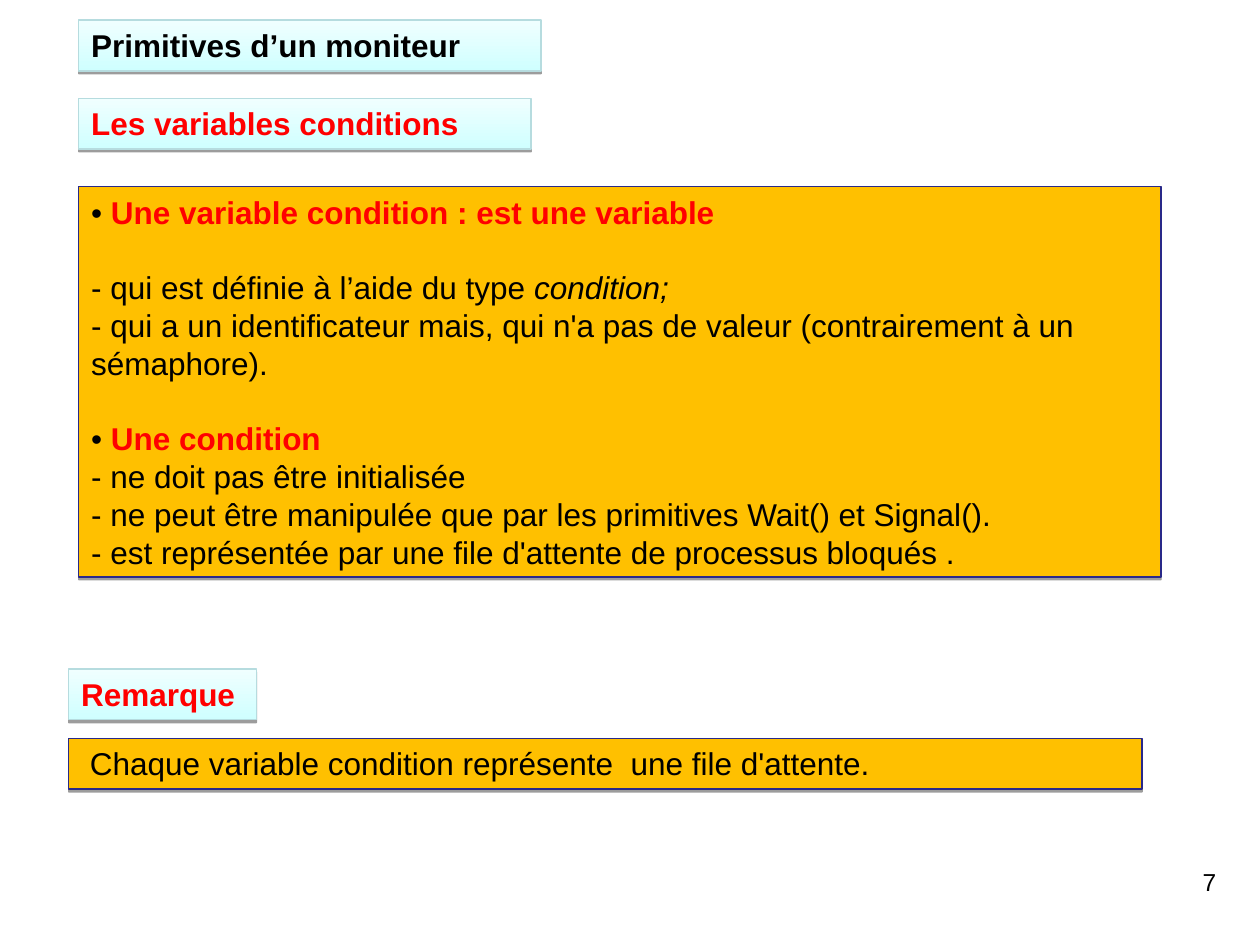
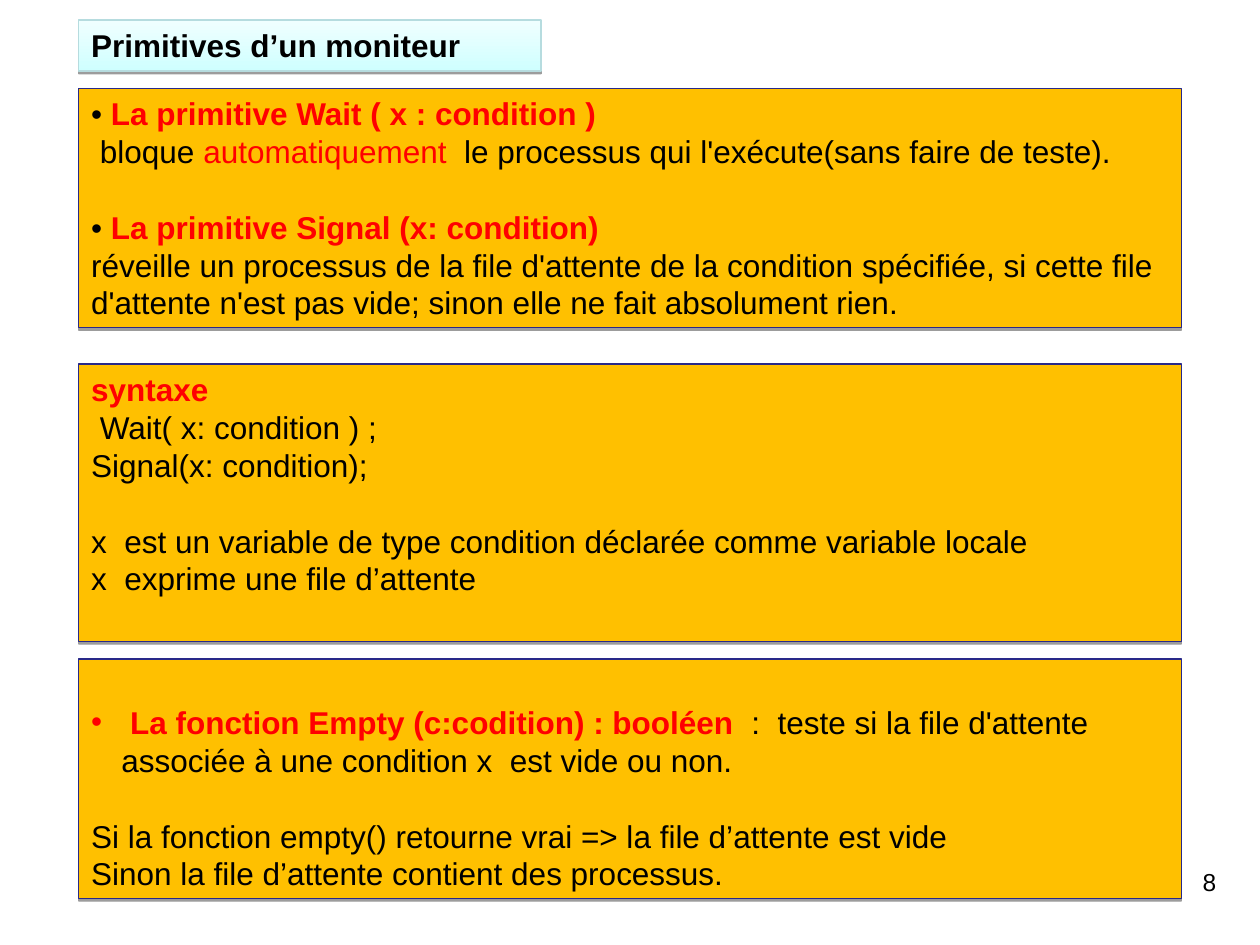
import pptx
import pptx.util
import pptx.dml.color
import pptx.enum.shapes
import pptx.enum.text
import pptx.oxml
import pptx.oxml.ns
from lxml import etree

COLORS = {
    "black": "000000",
    "red": "FF0000",
    "amber": "FFC000",
    "navy": "292989",
    "ice": "F0FFFF",
    "cyan": "CFFFFF",
    "teal": "B6DCDF",
}
STYLES = {
    "plain": ("black", False, False),
    "strong": ("black", True, False),
    "key": ("red", True, False),
    "red": ("red", False, False),
    "italic": ("black", False, True),
}
FONT = "Arial"
COLUMNS, ROWS = 100, 75
LEFT = 6.25
REMARK_LEFT = 5.45
WIDE = 87.5
LABEL_HEIGHT = 4.04
NUMBER_AREA = (71.7, 68.3, 25.8, 5.2)
LINE = 21.6
HANGING = pptx.util.Inches(0.24)
ANCHOR = pptx.enum.text.MSO_ANCHOR


def rgb(name):
    return pptx.dml.color.RGBColor.from_string(COLORS[name])


def place(deck, left, top, width, height):
    column = deck.slide_width / COLUMNS
    row = deck.slide_height / ROWS
    return (round(left * column), round(top * row),
            round(width * column), round(height * row))


def add_span(para, text, style="plain", size=18):
    color, bold, italic = STYLES[style]
    span = para.add_run()
    span.text = text
    span.font.name = FONT
    span.font.size = pptx.util.Pt(size)
    span.font.bold = bold
    span.font.italic = italic
    span.font.color.rgb = rgb(color)


def add_bullet(para):
    properties = para._p.get_or_add_pPr()
    properties.set("marL", str(HANGING))
    properties.set("indent", str(-HANGING))
    color = etree.SubElement(properties, pptx.oxml.ns.qn("a:buClr"))
    etree.SubElement(color, pptx.oxml.ns.qn("a:srgbClr"), val=COLORS["red"])
    etree.SubElement(properties, pptx.oxml.ns.qn("a:buFont"), typeface=FONT)
    etree.SubElement(properties, pptx.oxml.ns.qn("a:buChar"), char="•")


def line(*spans, gap=0, bullet=False):
    return spans, gap, bullet


def heading(text, gap=0):
    return line(("• ",), (text, "key"), gap=gap)


def write_lines(frame, lines):
    for index, (spans, gap, bullet) in enumerate(lines):
        para = frame.paragraphs[0] if index == 0 else frame.add_paragraph()
        para.alignment = pptx.enum.text.PP_ALIGN.LEFT
        para.line_spacing = pptx.util.Pt(LINE)
        para.space_before = pptx.util.Pt(gap * LINE)
        if bullet:
            add_bullet(para)
        for span in spans:
            add_span(para, *span)


def add_shadow(box):
    box.shadow.inherit = False
    effects = box._element.spPr.find(pptx.oxml.ns.qn("a:effectLst"))
    shadow = etree.SubElement(effects, pptx.oxml.ns.qn("a:outerShdw"),
                              blurRad="0", dist=str(pptx.util.Pt(1.6)),
                              dir="5400000", rotWithShape="0")
    color = etree.SubElement(shadow, pptx.oxml.ns.qn("a:srgbClr"), val=COLORS["black"])
    etree.SubElement(color, pptx.oxml.ns.qn("a:alpha"), val="38000")


def add_box(deck, page, area, border, lines, anchor=ANCHOR.TOP):
    box = page.shapes.add_shape(pptx.enum.shapes.MSO_SHAPE.RECTANGLE,
                                *place(deck, *area))
    box.line.color.rgb = rgb(border)
    box.line.width = pptx.util.Pt(0.75)
    add_shadow(box)
    box.text_frame.word_wrap = True
    box.text_frame.vertical_anchor = anchor
    write_lines(box.text_frame, lines)
    return box


def add_panel(deck, page, area, lines, anchor=ANCHOR.TOP):
    box = add_box(deck, page, area, "navy", lines, anchor)
    box.fill.solid()
    box.fill.fore_color.rgb = rgb("amber")


def add_label(deck, page, left, top, width, text, style="key"):
    area = (left, top, width, LABEL_HEIGHT)
    box = add_box(deck, page, area, "teal", [line((text, style))])
    box.fill.gradient()
    box.fill.gradient_angle = 270
    for stop, color, position in zip(box.fill.gradient_stops, ("ice", "cyan"), (0, 1)):
        stop.color.rgb = rgb(color)
        stop.position = position


def add_page(deck, number):
    page = deck.slides.add_slide(deck.slide_layouts[6])
    box = page.shapes.add_textbox(*place(deck, *NUMBER_AREA))
    box.text_frame.word_wrap = True
    para = box.text_frame.paragraphs[0]
    para.alignment = pptx.enum.text.PP_ALIGN.RIGHT
    add_span(para, str(number), size=14)
    add_label(deck, page, LEFT, 1.6, 36.7, "Primitives d’un moniteur", "strong")
    return page


def build_condition_variables(deck):
    page = add_page(deck, 7)
    add_label(deck, page, LEFT, 7.8, 35.9, "Les variables conditions")
    add_panel(deck, page, (LEFT, 14.8, 85.9, 31), [
        heading("Une variable condition : est une variable"),
        line(("- qui est définie à l’aide du type ",), ("condition;", "italic"), gap=1),
        line(("- qui a un identificateur mais, qui n'a pas de valeur "
              "(contrairement à un sémaphore).",)),
        heading("Une condition", gap=1),
        line(("- ne doit pas être initialisée",)),
        line(("- ne peut être manipulée que par les primitives Wait() et Signal().",)),
        line(("- est représentée par une file d'attente de processus bloqués .",)),
    ])
    add_panel(deck, page, (REMARK_LEFT, 58.6, 85.2, LABEL_HEIGHT), [
        line((" Chaque variable condition représente  une file d'attente.",)),
    ])
    add_label(deck, page, REMARK_LEFT, 53.1, 14.9, "Remarque")


def build_primitives(deck):
    page = add_page(deck, 8)
    add_panel(deck, page, (LEFT, 7, WIDE, 19), [
        heading("La primitive Wait ( x : condition )"),
        line((" bloque ",), ("automatiquement ", "red"),
             (" le processus qui l'exécute(sans faire de teste).",)),
        heading("La primitive Signal (x: condition)", gap=1),
        line(("réveille un processus de la file d'attente de la condition spécifiée, "
              "si cette file d'attente n'est pas vide; sinon elle ne fait "
              "absolument rien.",)),
    ])
    add_panel(deck, page, (LEFT, 28.9, WIDE, 22), [
        line(("syntaxe", "key")),
        line((" Wait( x: condition ) ;",)),
        line(("Signal(x: condition);",)),
        line(("x  est un variable de type condition déclarée comme variable locale",),
             gap=1),
        line(("x  exprime une file d’attente",)),
    ])
    add_panel(deck, page, (LEFT, 52.3, WIDE, 19), [
        line((" La fonction Empty (c:codition) : booléen  ", "key"),
             (":  teste si la file d'attente associée à une condition x  "
              "est vide ou non.",), bullet=True),
        line(("Si la fonction empty() retourne vrai => la file d’attente est vide",),
             gap=1),
        line(("Sinon la file d’attente contient des processus.",)),
    ], ANCHOR.BOTTOM)


def main():
    deck = pptx.Presentation()
    deck.slide_width = pptx.util.Inches(10)
    deck.slide_height = pptx.util.Inches(7.5)
    build_condition_variables(deck)
    build_primitives(deck)
    deck.save("out.pptx")


if __name__ == "__main__":
    main()
